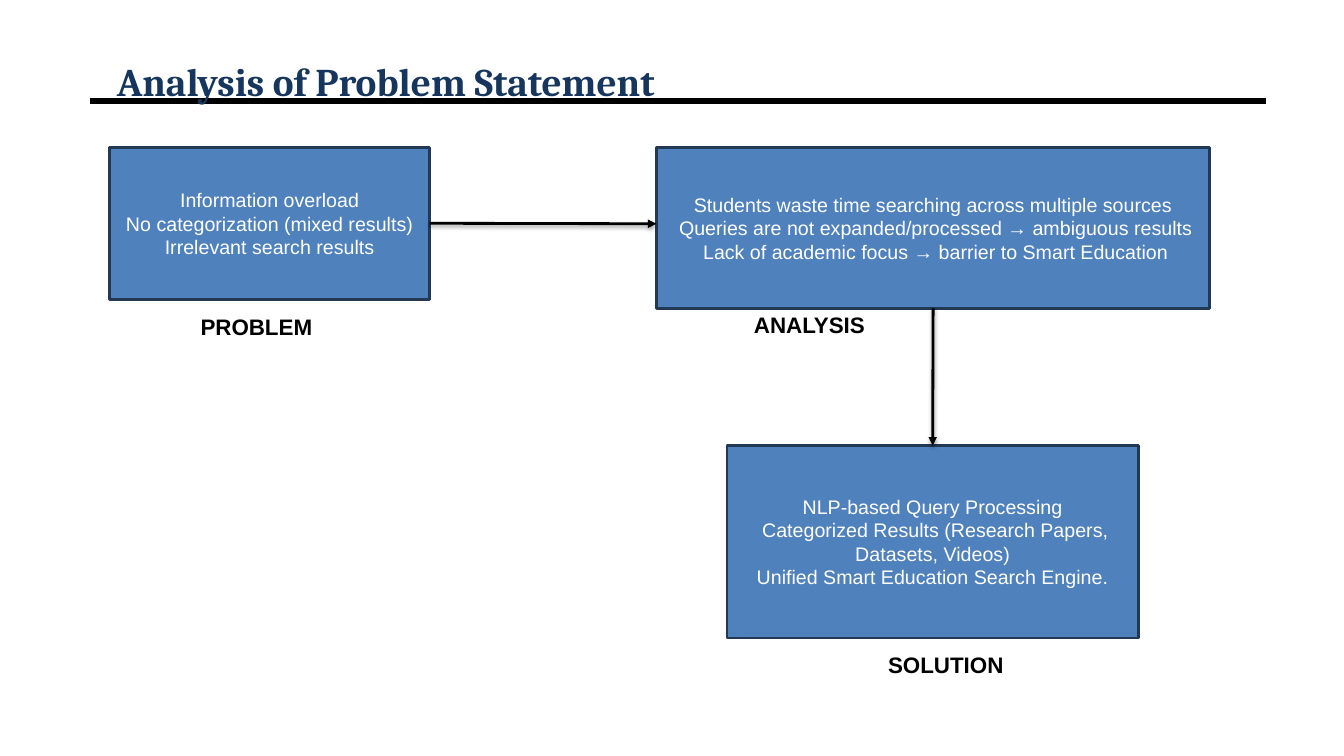
from dataclasses import dataclass

from lxml.etree import SubElement
from pptx import Presentation
from pptx.dml.color import RGBColor
from pptx.enum.shapes import MSO_CONNECTOR, MSO_SHAPE
from pptx.enum.text import MSO_ANCHOR, MSO_AUTO_SIZE, PP_ALIGN
from pptx.oxml.ns import qn
from pptx.shapes.autoshape import Shape
from pptx.shapes.connector import Connector
from pptx.slide import Slide
from pptx.text.text import _Run
from pptx.util import Inches, Pt

COLORS = {
    "title": "17365D",
    "fill": "4F81BD",
    "border": "233953",
    "white": "FFFFFF",
    "black": "000000",
}


@dataclass
class Stage:
    box: tuple[float, float, float, float]
    lines: list[str]
    label: str
    label_box: tuple[float, float, float, float]


STAGES = [
    Stage(
        (1.09, 1.46, 3.17, 1.51),
        [
            "Information overload",
            "No categorization (mixed results)",
            "Irrelevant search results",
        ],
        "PROBLEM",
        (1.89, 3.06, 1.32, 0.37),
    ),
    Stage(
        (6.51, 1.46, 5.49, 1.6),
        [
            "Students waste time searching across multiple sources",
            " Queries are not expanded/processed → ambiguous results",
            " Lack of academic focus → barrier to Smart Education",
        ],
        "ANALYSIS",
        (7.38, 3.04, 1.33, 0.37),
    ),
    Stage(
        (7.21, 4.42, 4.08, 1.91),
        [
            "NLP-based Query Processing",
            " Categorized Results (Research Papers, Datasets, Videos)",
            "Unified Smart Education Search Engine.",
        ],
        "SOLUTION",
        (8.71, 6.41, 1.35, 0.37),
    ),
]


def rgb(name: str) -> RGBColor:
    return RGBColor.from_string(COLORS[name])


def style_run(r: _Run, size: float, color: str, bold: bool = False, font: str = "Arial") -> None:
    r.font.name = font
    r.font.size = Pt(size)
    r.font.bold = bold
    r.font.color.rgb = rgb(color)


def add_line(s: Slide, start: tuple[float, float], end: tuple[float, float], width: float) -> Connector:
    line = s.shapes.add_connector(
        MSO_CONNECTOR.STRAIGHT, *map(Inches, start), *map(Inches, end)
    )
    line.line.color.rgb = rgb("black")
    line.line.width = Pt(width)
    SubElement(line.element.spPr, qn("a:effectLst"))
    return line


def add_arrow(s: Slide, start: tuple[float, float], end: tuple[float, float]) -> Connector:
    arrow = add_line(s, start, end, 2)
    spPr = arrow.element.spPr
    SubElement(spPr.find(qn("a:ln")), qn("a:tailEnd"), type="triangle")
    shadow = SubElement(
        spPr.find(qn("a:effectLst")), qn("a:outerShdw"),
        blurRad=str(Pt(3.1)), dist=str(Pt(1.6)), dir="5400000", rotWithShape="0",
    )
    color = SubElement(shadow, qn("a:srgbClr"), val=COLORS["black"])
    SubElement(color, qn("a:alpha"), val="38000")
    return arrow


def add_title(s: Slide, text: str) -> None:
    title = s.shapes.title
    title.left, title.top, title.width, title.height = map(Inches, (0.89, 0.3, 11.67, 0.53))
    tf = title.text_frame
    tf.auto_size = MSO_AUTO_SIZE.NONE
    tf.vertical_anchor = MSO_ANCHOR.MIDDLE
    p = tf.paragraphs[0]
    p.alignment = PP_ALIGN.LEFT
    p.line_spacing = 2.0
    pPr = p._p.get_or_add_pPr()
    pPr.set("marL", str(Inches(0.17)))
    pPr.set("indent", "0")
    r = p.add_run()
    r.text = text
    style_run(r, 28, "title", True, "Cambria")
    rule = add_line(s, (0.89, 1), (12.56, 1), 4.5)
    title.element.addprevious(rule.element)


def add_stage(s: Slide, stage: Stage) -> Shape:
    sp = s.shapes.add_shape(MSO_SHAPE.RECTANGLE, *map(Inches, stage.box))
    sp.shadow.inherit = False
    sp.fill.solid()
    sp.fill.fore_color.rgb = rgb("fill")
    sp.line.color.rgb = rgb("border")
    sp.line.width = Pt(2)
    tf = sp.text_frame
    tf.word_wrap = True
    tf.vertical_anchor = MSO_ANCHOR.MIDDLE
    p = tf.paragraphs[0]
    p.alignment = PP_ALIGN.CENTER
    for i, text in enumerate(stage.lines):
        if i:
            p.add_line_break()
        r = p.add_run()
        r.text = text
        style_run(r, 14, "white")

    label = s.shapes.add_textbox(*map(Inches, stage.label_box))
    label.text_frame.word_wrap = False
    label.text_frame.auto_size = MSO_AUTO_SIZE.SHAPE_TO_FIT_TEXT
    r = label.text_frame.paragraphs[0].add_run()
    r.text = stage.label
    style_run(r, 16, "black", True)
    return sp


def main() -> None:
    prs = Presentation()
    prs.slide_width, prs.slide_height = Inches(13.33), Inches(7.5)
    s = prs.slides.add_slide(prs.slide_layouts.get_by_name("Title Only"))
    add_title(s, "Analysis of Problem Statement")
    problem, analysis, solution = [add_stage(s, stage) for stage in STAGES]

    across = add_arrow(s, (4.26, 2.22), (6.51, 2.22))
    across.begin_connect(problem, 3)
    down = add_arrow(s, (9.25, 3.06), (9.25, 4.42))
    down.begin_connect(analysis, 2)
    down.end_connect(solution, 0)
    prs.save("out.pptx")


if __name__ == "__main__":
    main()
